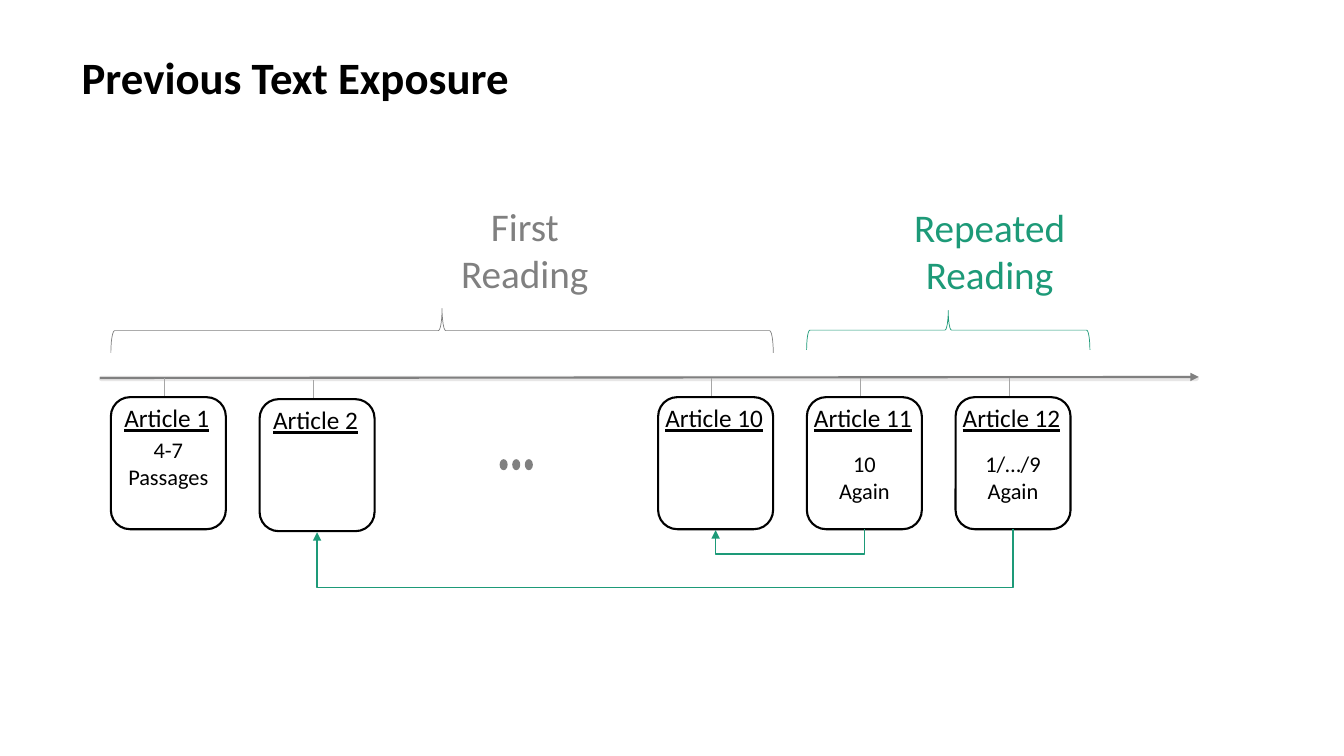
from dataclasses import dataclass

from pptx import Presentation
from pptx import util as u
from pptx.dml.color import RGBColor
from pptx.enum import shapes as sh, text as tx
from pptx.oxml import ns, xmlchemy as xc

BLACK = RGBColor(0, 0, 0)
WHITE = RGBColor(255, 255, 255)
GREY = RGBColor(0x80, 0x80, 0x80)
TICK = RGBColor(0xA6, 0xA6, 0xA6)
PALE = RGBColor(0xE7, 0xE6, 0xE6)
GREEN = RGBColor(0x1D, 0x9A, 0x78)

# Grid: square cells, 75 rows to the slide's height
CELL = 0.1
LEFT, PITCH = 11, 14.75
WIDE, TALL = 11.4, 13.1
AXIS, TOP = 37.5, 39.4
KIND = sh.MSO_SHAPE
LINK = sh.MSO_CONNECTOR


@dataclass
class Article:
    num: int
    col: float
    lines: tuple[str, ...] = ()
    drop: float = 0
    inset: float = 0.5

    @property
    def left(self) -> float:
        return LEFT + PITCH * self.col

    @property
    def mid(self) -> float:
        return self.left + WIDE / 2


@dataclass
class Phase:
    lines: tuple[str, ...]
    color: RGBColor
    label: tuple[float, float, float, float]
    brace: tuple[float, float, float, float]


@dataclass
class Loop:
    start: int
    end: int
    low: float
    width: float


ARTICLES = [
    Article(1, 0, ("4-7", "Passages")),
    Article(2, 1, drop=0.2),
    Article(10, 3.68),
    Article(11, 4.68, ("10", "Again"), inset=3.2),
    Article(12, 5.68, ("1/…/9", "Again"), inset=3.2),
]
PHASES = [
    Phase(("First", "Reading"), GREY, (41.9, 19.6, 20.3, 10.4), (11, 30.6, 65.7, 4.4)),
    Phase(("Repeated", "Reading"), GREEN, (87.4, 19.7, 21.5, 10.4), (80, 30.8, 28.1, 3.9)),
]
LOOPS = [Loop(3, 2, 55, 1), Loop(4, 1, 58.3, 1)]


def cell(num: float) -> u.Length:
    return u.Inches(num * CELL)


def write(frame, lines: tuple[str, ...], size: int, color: RGBColor, under: bool = False) -> None:
    frame.word_wrap = True
    for i, line in enumerate(lines):
        para = frame.paragraphs[0] if i == 0 else frame.add_paragraph()
        para.text = line
        para.alignment = tx.PP_ALIGN.CENTER
        font = para.font
        font.name, font.size, font.color.rgb = "Calibri", u.Pt(size), color
        if under:
            font.underline = True


def shape(kind, x: float, y: float, w: float, h: float, fill=None, line=None, width: float = 0):
    item = slide.shapes.add_shape(kind, cell(x), cell(y), cell(w), cell(h))
    item.shadow.inherit = False
    if fill is None:
        item.fill.background()
    else:
        item.fill.solid()
        item.fill.fore_color.rgb = fill
    if line is None:
        item.line.fill.background()
    else:
        item.line.color.rgb = line
        item.line.width = u.Pt(width)
    return item


def link(kind, x1: float, y1: float, x2: float, y2: float, color: RGBColor, width: float, arrow: bool = False):
    item = slide.shapes.add_connector(kind, cell(x1), cell(y1), cell(x2), cell(y2))
    item.line.color.rgb = color
    item.line.width = u.Pt(width)
    if arrow:
        tail = xc.OxmlElement("a:tailEnd")
        tail.set("type", "triangle")
        item.line._get_or_add_ln().append(tail)
    item._element.spPr.append(xc.OxmlElement("a:effectLst"))
    return item


def draw_article(art: Article) -> None:
    top = TOP + art.drop
    tick = art.left + 5.3
    link(LINK.STRAIGHT, tick, AXIS + art.drop, tick, top, TICK, 0.5)
    box = shape(KIND.ROUNDED_RECTANGLE, art.left, top, WIDE, TALL, WHITE, BLACK, 1.5)
    box.text_frame.margin_top = cell(art.inset)
    box.text_frame.vertical_anchor = tx.MSO_ANCHOR.MIDDLE
    write(box.text_frame, art.lines, 16, BLACK)
    name = slide.shapes.add_textbox(cell(art.left - 0.3), cell(top + 0.3), cell(11.7), cell(3.5))
    frame = name.text_frame
    frame.margin_left = frame.margin_right = 0
    frame.vertical_anchor = tx.MSO_ANCHOR.MIDDLE
    write(frame, (f"Article {art.num}",), 18, BLACK, under=True)


def draw_phase(phase: Phase) -> None:
    # The brace is laid out upright, then turned about its centre
    x, y, w, h = phase.brace
    brace = shape(KIND.RIGHT_BRACE, x + (w - h) / 2, y + (h - w) / 2, h, w, None, phase.color, 0.5)
    brace.rotation = 270
    label = slide.shapes.add_textbox(*map(cell, phase.label))
    write(label.text_frame, phase.lines, 28, phase.color)


def draw_loop(loop: Loop) -> None:
    # A quarter-turned elbow whose middle leg runs below the boxes
    start, end = ARTICLES[loop.start], ARTICLES[loop.end]
    foot = TOP + TALL
    span, rise = start.mid - end.mid, 0.1 + end.drop
    x = (start.mid + end.mid - rise) / 2
    y = foot + (rise - span) / 2
    item = link(LINK.ELBOW, x, y, x + rise, y + span, GREEN, loop.width, arrow=True)
    props = item._element.spPr
    props.find(ns.qn("a:xfrm")).set("rot", "5400000")
    guide = xc.OxmlElement("a:gd")
    guide.set("name", "adj1")
    guide.set("fmla", f"val {round((loop.low - foot) / rise * 100000)}")
    props.find(ns.qn("a:prstGeom")).get_or_add_avLst().append(guide)


prs = Presentation()
prs.slide_width, prs.slide_height = u.Inches(13.33), u.Inches(7.5)
slide = prs.slides.add_slide(prs.slide_layouts[5])

# Title
title = slide.shapes.title
title.left, title.top, title.width, title.height = map(cell, (7.1, 0.9, 47.1, 14))
title.text_frame.auto_size = tx.MSO_AUTO_SIZE.NONE
title.text_frame.vertical_anchor = tx.MSO_ANCHOR.MIDDLE
write(title.text_frame, ("Previous Text Exposure",), 32, BLACK)
head = title.text_frame.paragraphs[0]
head.alignment, head.line_spacing, head.font.bold = tx.PP_ALIGN.LEFT, 0.9, True

# Time axis
bar = shape(KIND.ROUNDED_RECTANGLE, 9.8, 37.3, 109.1, 0.5, PALE)
bar.adjustments[0] = 0.5
link(LINK.STRAIGHT, 9.9, AXIS, 118.9, AXIS - 0.1, GREY, 1.5, arrow=True)

# Articles, with dots for those left out
for art in ARTICLES:
    draw_article(art)
for i in range(3):
    shape(KIND.OVAL, 49.55 + 1.25 * i, 45.55, 0.8, 1.1, GREY)

# Reading phases and returns to earlier articles
for phase in PHASES:
    draw_phase(phase)
for loop in LOOPS:
    draw_loop(loop)

prs.save("out.pptx")
